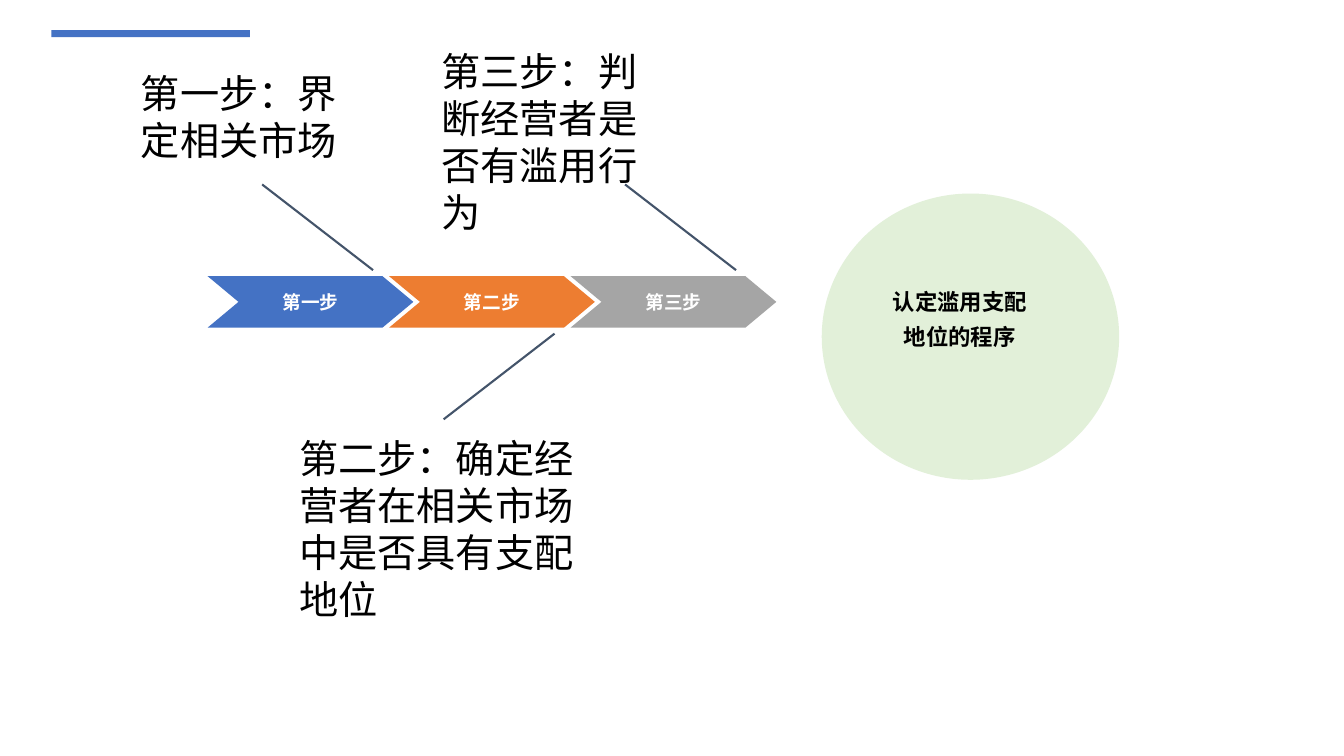
from dataclasses import dataclass

from lxml.etree import SubElement
from pptx import Presentation
from pptx.dml.color import RGBColor as Rgb
from pptx.enum.shapes import MSO_CONNECTOR as Link, MSO_SHAPE as Kind
from pptx.enum.text import MSO_ANCHOR as Anchor, PP_ALIGN as Align
from pptx.oxml.ns import qn
from pptx.util import Inches, Pt


@dataclass(frozen=True)
class Theme:
    blue: str = "4472C4"
    orange: str = "ED7D31"
    gray: str = "A5A5A5"
    green: str = "E2F0D9"
    slate: str = "44546A"
    white: str = "FFFFFF"
    black: str = "000000"
    head: str = "Quicksand"
    body: str = "Calibri"
    small: float = 13.3
    mid: float = 16
    large: float = 28


class Board:
    def __init__(self, slide, theme):
        self.slide = slide
        self.theme = theme

    def shape(self, kind, box, fill):
        item = self.slide.shapes.add_shape(kind, *map(Inches, box))
        item.shadow.inherit = False
        item.fill.solid()
        item.fill.fore_color.rgb = Rgb.from_string(fill)
        item.line.fill.background()
        return item

    def label(self, frame, lines, color, font, form):
        frame.word_wrap = True
        for num, line in enumerate(lines):
            para = frame.add_paragraph() if num else frame.paragraphs[0]
            for key, value in form.items():
                setattr(para, key, value)
            run = para.add_run()
            run.text = line
            for key, value in font.items():
                setattr(run.font, key, value)
            run.font.color.rgb = Rgb.from_string(color)

    def step(self, box, fill, name):
        item = self.shape(Kind.CHEVRON, box, fill)
        item.adjustments[0] = 0.6
        frame = item.text_frame
        frame.vertical_anchor = Anchor.MIDDLE
        font = {"name": self.theme.head, "size": Pt(self.theme.small), "bold": True}
        self.label(frame, [name], self.theme.white, font, {"alignment": Align.CENTER})

    def text(self, box, lines, font, form):
        item = self.slide.shapes.add_textbox(*map(Inches, box))
        self.label(item.text_frame, lines, self.theme.black, font, form)

    def note(self, box, words):
        font = {"name": self.theme.body, "size": Pt(self.theme.large)}
        self.text(box, [words], font, {"alignment": Align.LEFT})

    def title(self, box, lines):
        font = {"name": self.theme.head, "size": Pt(self.theme.mid), "bold": True}
        self.text(box, lines, font, {"alignment": Align.CENTER, "line_spacing": 1.3})

    def line(self, start, end):
        item = self.slide.shapes.add_connector(Link.STRAIGHT, *map(Inches, start + end))
        item.line.color.rgb = Rgb.from_string(self.theme.slate)
        item.line.width = Pt(1.5)
        SubElement(item._element.spPr, qn("a:effectLst"))


def main():
    deck = Presentation()
    deck.slide_width, deck.slide_height = Inches(13.33), Inches(7.5)
    theme = Theme()
    board = Board(deck.slides.add_slide(deck.slide_layouts[6]), theme)

    board.shape(Kind.RECTANGLE, (0.51, 0.3, 1.97, 0.07), theme.blue)

    steps = [
        ("第一步", theme.blue, 2.68, -0.85),
        ("第二步", theme.orange, 3.31, 0.85),
        ("第三步", theme.gray, 2.68, -0.85),
    ]
    pitch = 1.8
    for num, (name, fill, top, rise) in enumerate(steps):
        left = 2.06 + num * pitch
        board.step((left, 2.74, 2.04, 0.51), fill, name)
        tip = left + 1.64
        board.line((tip, top), (tip - 1.1, top + rise))

    board.shape(Kind.OVAL, (8.15, 1.92, 2.95, 2.84), theme.green)
    board.title((8.36, 2.73, 2.32, 0.8), ["认定滥用支配", "地位的程序"])

    notes = [
        ((1.3, 0.64, 2.23, 1.04), "第一步：界定相关市场"),
        ((2.87, 4.26, 3.04, 1.99), "第二步：确定经营者在相关市场中是否具有支配地位"),
        ((4.28, 0.42, 2.19, 1.99), "第三步：判断经营者是否有滥用行为"),
    ]
    for box, words in notes:
        board.note(box, words)

    deck.save("out.pptx")


if __name__ == "__main__":
    main()
